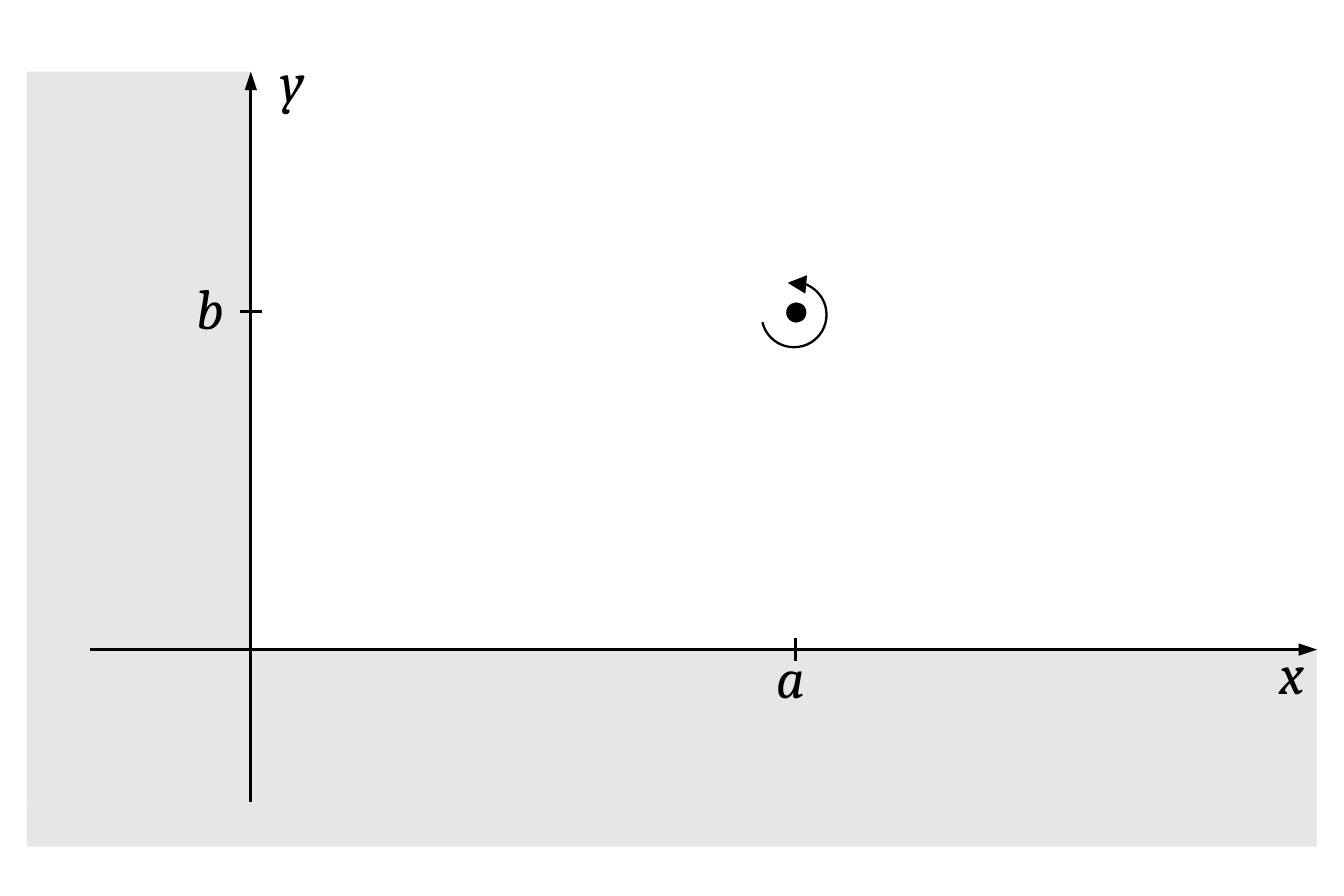
import pptx
import pptx.util
import pptx.dml.color
import pptx.enum.shapes
import pptx.enum.text
import pptx.oxml.ns
import lxml.etree

Inches = pptx.util.Inches
Shapes = pptx.enum.shapes.MSO_SHAPE


def color(hex_text):
    return pptx.dml.color.RGBColor.from_string(hex_text)


class Diagram:
    """Draws the elements of a coordinate diagram in one style on one slide."""

    ink = "000000"
    wall = "E7E6E6"
    font = "Cambria"
    label_size = 18

    def __init__(self, slide):
        self.slide = slide

    def add_arrowhead(self, shape, end, width):
        line = shape._element.spPr.find(pptx.oxml.ns.qn("a:ln"))
        lxml.etree.SubElement(line, pptx.oxml.ns.qn(end), type="triangle", w=width, len="med")

    def add_solid(self, kind, left, top, width, height, fill):
        shape = self.slide.shapes.add_shape(
            kind, Inches(left), Inches(top), Inches(width), Inches(height))
        shape.shadow.inherit = False
        shape.fill.solid()
        shape.fill.fore_color.rgb = color(fill)
        shape.line.fill.background()
        return shape

    def add_line(self, start, end, arrow=False):
        connector = self.slide.shapes.add_connector(
            pptx.enum.shapes.MSO_CONNECTOR.STRAIGHT, *map(Inches, start + end))
        connector.line.color.rgb = color(self.ink)
        connector.line.width = pptx.util.Pt(1)
        if arrow:
            self.add_arrowhead(connector, "a:tailEnd", "sm")
        lxml.etree.SubElement(connector._element.spPr, pptx.oxml.ns.qn("a:effectLst"))

    def add_rotation_arrow(self, left, top, size, start_degrees, end_degrees):
        arc = self.slide.shapes.add_shape(
            Shapes.ARC, Inches(left), Inches(top), Inches(size), Inches(size))
        arc.shadow.inherit = False
        arc.fill.background()
        arc.line.color.rgb = color(self.ink)
        arc.line.width = pptx.util.Pt(0.75)
        for index, degrees in enumerate((start_degrees, end_degrees)):
            arc.adjustments[index] = degrees * 0.6
        self.add_arrowhead(arc, "a:headEnd", "med")
        return arc

    def add_label(self, text, left, top, width=0.32):
        box = self.slide.shapes.add_textbox(
            Inches(left), Inches(top), Inches(width), Inches(0.4))
        frame = box.text_frame
        frame.text = text
        frame.word_wrap = False
        frame.auto_size = pptx.enum.text.MSO_AUTO_SIZE.SHAPE_TO_FIT_TEXT
        paragraph = frame.paragraphs[0]
        paragraph.alignment = pptx.enum.text.PP_ALIGN.RIGHT
        font = paragraph.runs[0].font
        font.name = self.font
        font.size = pptx.util.Pt(self.label_size)
        font.italic = True
        font.color.rgb = color(self.ink)


def main():
    presentation = pptx.Presentation()
    presentation.slide_width = Inches(6)
    presentation.slide_height = Inches(4)
    slide = presentation.slides.add_slide(presentation.slide_layouts[6])
    diagram = Diagram(slide)

    origin_x, origin_y = 1.12, 2.9
    wall_left, right, top = 0.12, 5.88, 0.32
    vortex_x, vortex_y = 3.55, 1.39
    tick = 0.05

    diagram.add_solid(Shapes.RECTANGLE, wall_left, origin_y, right - wall_left, 0.88, diagram.wall)
    diagram.add_solid(Shapes.RECTANGLE, wall_left, top, origin_x - wall_left, 3.26, diagram.wall)

    diagram.add_line((origin_x, 3.58), (origin_x, top), arrow=True)
    diagram.add_line((0.4, origin_y), (right, origin_y), arrow=True)
    diagram.add_line((vortex_x, origin_y + tick), (vortex_x, origin_y - tick))
    diagram.add_line((origin_x - tick, vortex_y), (origin_x + tick, vortex_y))

    core = diagram.add_solid(Shapes.OVAL, 3.51, 1.35, 0.09, 0.09, diagram.ink)
    rotation = diagram.add_rotation_arrow(3.4, 1.26, 0.29, 258.8, 166.8)
    slide.shapes.add_group_shape([core, rotation])

    diagram.add_label("y", 1.13, 0.16, 0.33)
    diagram.add_label("x", 5.6, 2.8)
    diagram.add_label("a", 3.37, 2.82)
    diagram.add_label("b", 0.78, 1.17)

    presentation.save("out.pptx")


if __name__ == "__main__":
    main()
